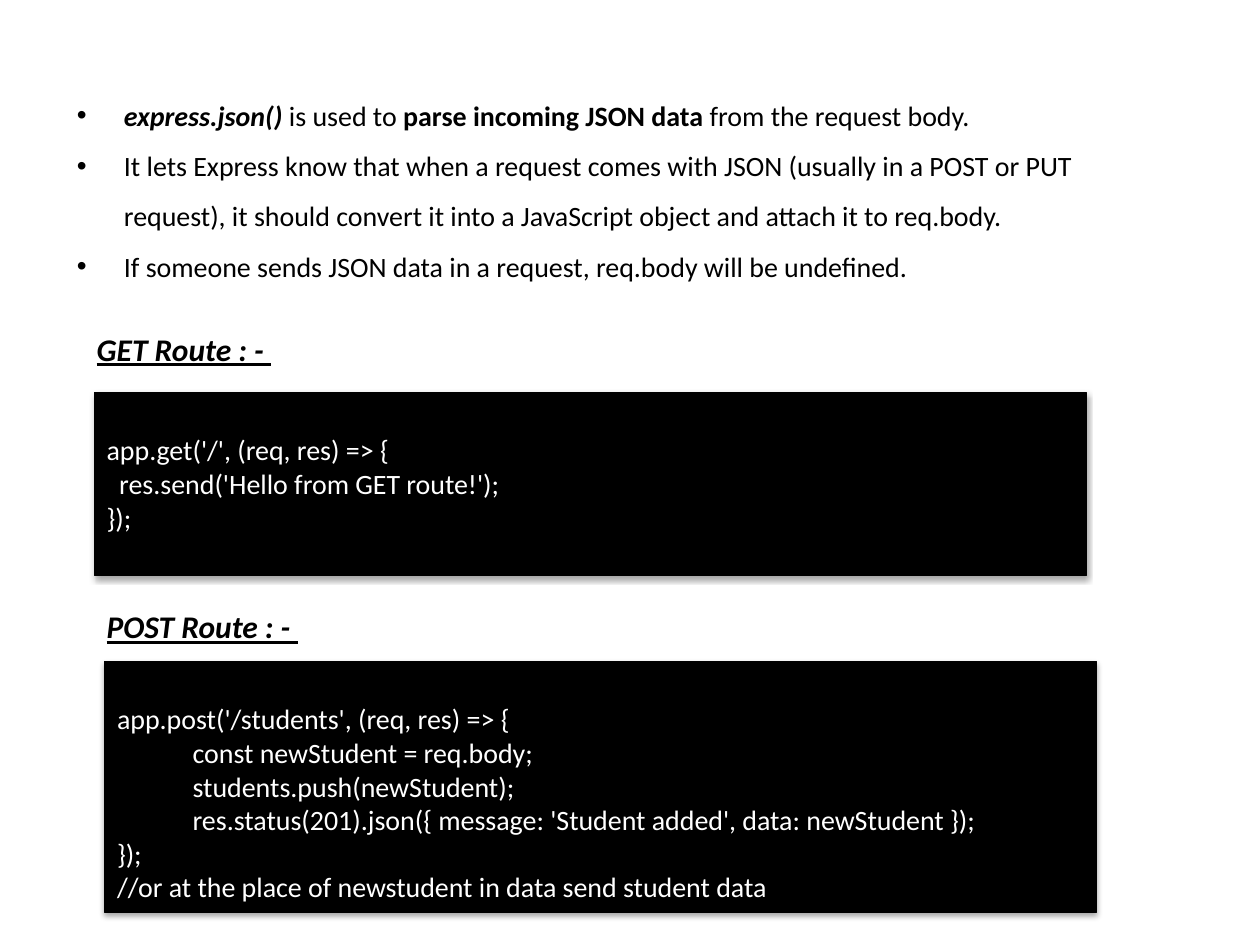
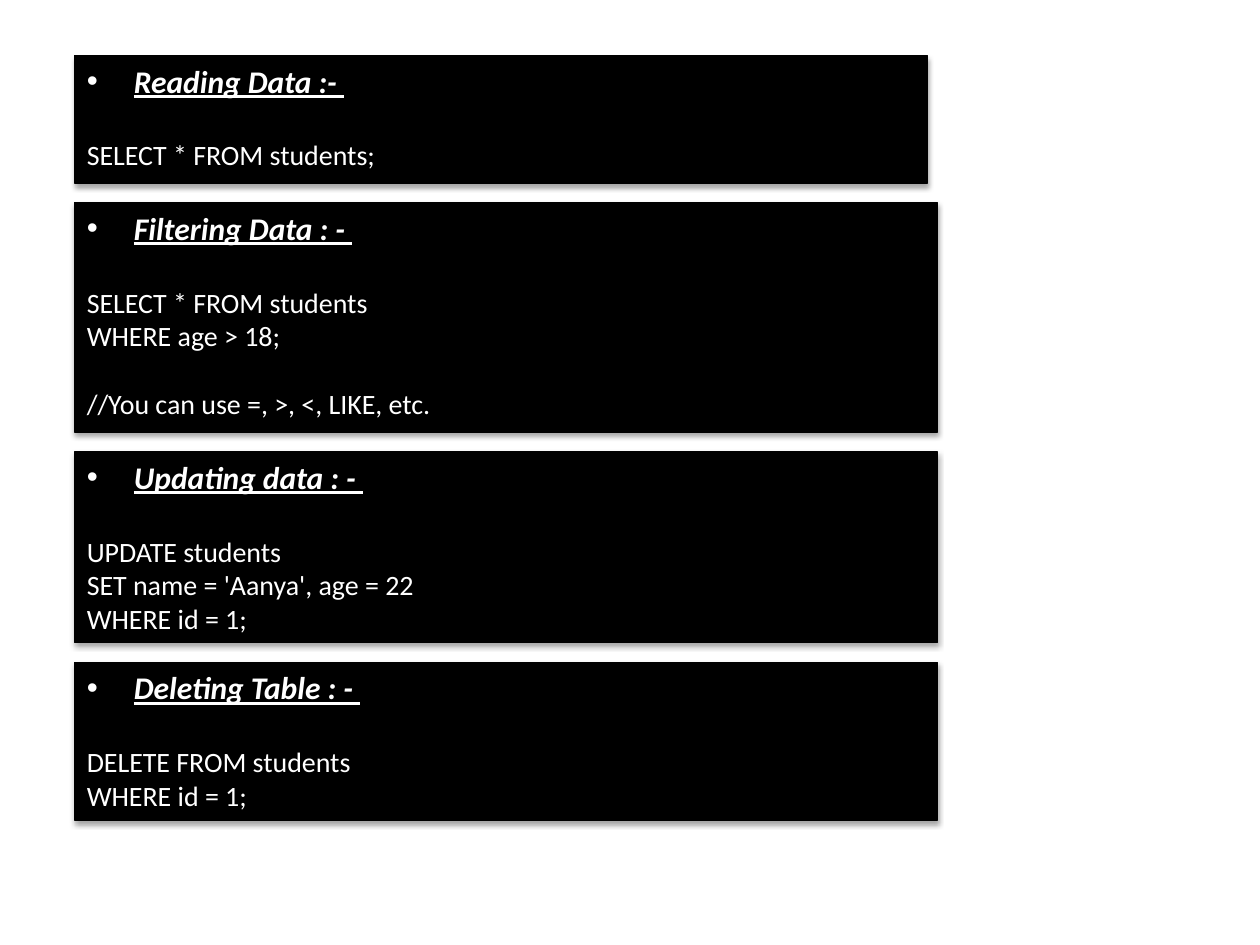
from lxml import etree
from pptx import Presentation
from pptx import util as u
from pptx.dml.color import RGBColor
from pptx.enum import shapes, text
from pptx.oxml import parse_xml
from pptx.oxml.ns import nsdecls, qn

COLORS = {"paper": "FFFFFF", "ink": "000000", "panel": "000000", "code": "FFFFFF"}
FONT = "Calibri"
HEADING = dict(size=18, style="biu")
BULLET = dict(bullet=True)
SHADOW = (
    f'<a:effectLst {nsdecls("a")}><a:outerShdw blurRad="{u.Pt(3.1)}" dist="{u.Pt(1.8)}" '
    f'dir="5400000" rotWithShape="0"><a:srgbClr val="{COLORS["panel"]}">'
    '<a:alpha val="35000"/></a:srgbClr></a:outerShdw></a:effectLst>'
)


def write(tf, content, color="ink", size=16, style="", bullet=False,
          indent=0, before=0, spacing=None):
    """Add a paragraph; content is a string or (text, style) pairs, style letters b, i, u."""
    p = tf.paragraphs[0] if not tf.paragraphs[0].runs else tf.add_paragraph()
    pPr = p._p.get_or_add_pPr()
    if bullet:
        pPr.set("marL", str(u.Cm(0.95)))
        pPr.set("indent", str(u.Cm(-0.95)))
        etree.SubElement(pPr, qn("a:buFont")).set("typeface", "Arial")
        etree.SubElement(pPr, qn("a:buChar")).set("char", "•")
    elif indent:
        pPr.set("marL", str(u.Cm(indent)))
    p.alignment = text.PP_ALIGN.LEFT
    if before:
        p.space_before = u.Pt(before)
    if spacing:
        p.line_spacing = spacing
    for words, marks in [(content, style)] if isinstance(content, str) else content:
        r = p.add_run()
        r.text = words
        r.font.name, r.font.size = FONT, u.Pt(size)
        r.font.bold, r.font.italic, r.font.underline = (m in marks for m in "biu")
        r.font.color.rgb = RGBColor.from_string(COLORS[color])


def add_box(s, left, top, width, height, panel=False):
    """Return the text frame of a text box or of a shadowed code panel."""
    at = [u.Cm(v) for v in (left, top, width, height)]
    if panel:
        sp = s.shapes.add_shape(shapes.MSO_SHAPE.RECTANGLE, *at)
        sp.fill.solid()
        sp.fill.fore_color.rgb = RGBColor.from_string(COLORS["panel"])
        sp.line.color.rgb = RGBColor.from_string(COLORS["panel"])
        sp.line.width = u.Pt(0.75)
        sp.shadow.inherit = False
        spPr = sp._element.spPr
        spPr.replace(spPr.find(qn("a:effectLst")), parse_xml(SHADOW))
    else:
        sp = s.shapes.add_textbox(*at)
    tf = sp.text_frame
    tf.word_wrap = True
    tf.vertical_anchor = text.MSO_ANCHOR.TOP
    return tf


prs = Presentation()
prs.slide_width, prs.slide_height = u.Cm(25.4), u.Cm(19.05)
slides = []
for _ in range(2):
    s = prs.slides.add_slide(prs.slide_layouts[6])
    s.background.fill.solid()
    s.background.fill.fore_color.rgb = RGBColor.from_string(COLORS["paper"])
    slides.append(s)
routes, queries = slides

# Slide 1: JSON parsing and the two routes
tf = add_box(routes, 1.3, 1.52, 22.4, 4.37)
for point in [
    [("express.json() ", "bi"), ("is used to ", ""), ("parse incoming JSON data", "b"),
     (" from the request body.", "")],
    "It lets Express know that when a request comes with JSON (usually in a POST or PUT "
    "request), it should convert it into a JavaScript object and attach it to req.body.",
    "If someone sends JSON data in a request, req.body will be undefined.",
]:
    write(tf, point, spacing=1.5, **BULLET)

# heading, heading position, panel position and height, lines with their indent
ROUTES = [
    ("GET Route : - ", (1.7, 6.53), (1.9, 7.92), 3.68, [
        ("app.get('/', (req, res) => {", 0),
        ("  res.send('Hello from GET route!');", 0),
        ("});", 0)]),
    ("POST Route : - ", (1.9, 12.12), (2.11, 13.34), 5.05, [
        ("app.post('/students', (req, res) => {", 0),
        ("  const newStudent = req.body;", 1.27),
        ("  students.push(newStudent);", 1.27),
        ("  res.status(201).json({ message: 'Student added', data: newStudent });", 1.27),
        ("});", 0),
        ("//or at the place of newstudent in data send student data", 0)]),
]
for heading, heading_at, panel_at, height, lines in ROUTES:
    write(add_box(routes, *heading_at, 17, 1.02), heading, **HEADING)
    tf = add_box(routes, *panel_at, 20, height, panel=True)
    tf.margin_top = u.Cm(0.81)
    for line, indent in lines:
        write(tf, line, color="code", indent=indent)

# Slide 2: one panel per query; lines carry the space before them in points
QUERIES = [
    ("Reading Data :- ", 17.2, 2.57, [("SELECT * FROM students;", 22)]),
    ("Filtering Data : - ", 17.4, 4.62, [
        ("SELECT * FROM students", 22), ("WHERE age > 18;", 0),
        ("//You can use =, >, <, LIKE, etc.", 19.5)]),
    ("Updating data : - ", 17.4, 3.84, [
        ("UPDATE students", 22), ("SET name = 'Aanya', age = 22", 0), ("WHERE id = 1;", 0)]),
    ("Deleting Table : - ", 17.4, 3.18, [
        ("DELETE FROM students", 22), ("WHERE id = 1;", 0)]),
]
GAP = 0.4
top = 1.12
for heading, width, height, lines in QUERIES:
    tf = add_box(queries, 1.5, top, width, height, panel=True)
    write(tf, heading, color="code", **HEADING, **BULLET)
    for line, before in lines:
        write(tf, line, color="code", before=before)
    top += height + GAP

prs.save("out.pptx")
